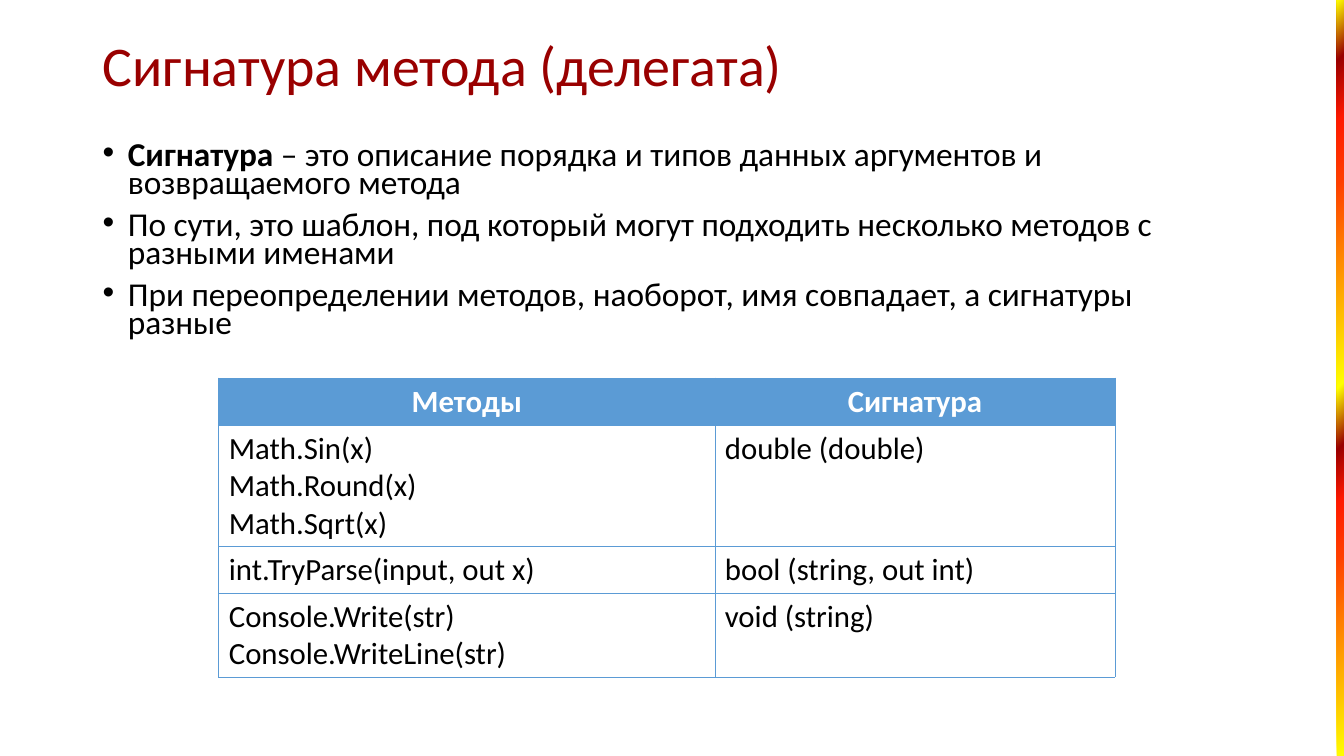
"""Builds a slide on method signatures with bullets and a table."""
from lxml import etree
from pptx import Presentation
from pptx.dml.color import RGBColor
from pptx.enum.shapes import MSO_SHAPE
from pptx.enum.text import MSO_ANCHOR, PP_ALIGN
from pptx.oxml.ns import qn
from pptx.util import Inches, Pt

RECT = MSO_SHAPE.RECTANGLE
TOP, MIDDLE = MSO_ANCHOR.TOP, MSO_ANCHOR.MIDDLE
LEFT, CENTER = PP_ALIGN.LEFT, PP_ALIGN.CENTER

BLACK = RGBColor(0, 0, 0)
WHITE = RGBColor(255, 255, 255)
MAROON = RGBColor(0x99, 0, 0)
BLUE = RGBColor(0x5B, 0x9B, 0xD5)
YELLOW = RGBColor(255, 255, 0)
ORANGE = RGBColor(255, 0x3D, 0)
RED = RGBColor(255, 0x19, 0)

FONT = "Calibri"
TITLE = "Сигнатура метода (делегата)"
POINTS = [
    [("Сигнатура", True),
     (" – это описание порядка и типов данных аргументов и возвращаемого метода", False)],
    "По сути, это шаблон, под который могут подходить несколько методов с разными именами",
    "При переопределении методов, наоборот, имя совпадает, а сигнатуры разные",
]
ROWS = [
    (["Методы"], ["Сигнатура"]),
    (["Math.Sin(x)", "Math.Round(x)", "Math.Sqrt(x)"], ["double (double)"]),
    (["int.TryParse(input, out x)"], ["bool (string, out int)"]),
    (["Console.Write(str)", "Console.WriteLine(str)"], ["void (string)"]),
]
WIDTHS = [4.92, 3.97]
HEIGHTS = [0.46, 1.19, 0.46, 0.82]
STOPS = [(0, YELLOW), (27, ORANGE), (34, RED), (41, MAROON), (49, YELLOW),
         (76, ORANGE), (84, RED), (92, MAROON), (100, YELLOW)]


def write(frame, paras, size=22, color=BLACK, bold=False, align=LEFT,
          line=1.0, before=0, bullet=False):
    """Fill a text frame; a paragraph is a string or a list of (text, bold)."""
    frame.word_wrap = True
    for i, parts in enumerate(paras):
        para = frame.add_paragraph() if i else frame.paragraphs[0]
        para.alignment, para.line_spacing = align, line
        para.space_before = Pt(before)
        if bullet:
            props = para._p.get_or_add_pPr()
            props.set("marL", str(Inches(0.25)))
            props.set("indent", str(-Inches(0.25)))
            etree.SubElement(props, qn("a:buFont"), typeface="Arial")
            etree.SubElement(props, qn("a:buChar"), char="•")
        for text, heavy in [(parts, bold)] if isinstance(parts, str) else parts:
            run = para.add_run()
            run.text = text
            font = run.font
            font.name, font.size, font.bold = FONT, Pt(size), heavy
            font.color.rgb = color


def add_text(slide, box, paras, anchor=TOP, **style):
    """Add a text box at the given place."""
    frame = slide.shapes.add_textbox(*map(Inches, box)).text_frame
    frame.vertical_anchor = anchor
    write(frame, paras, **style)


def add_color(parent, color):
    """Append an RGB colour element."""
    etree.SubElement(parent, qn("a:srgbClr"), val=str(color))


def add_bar(slide):
    """Draw the striped bar on the right edge."""
    bar = slide.shapes.add_shape(RECT, *map(Inches, (13.26, 0, 0.07, 7.5)))
    bar.shadow.inherit = False
    bar.line.fill.background()
    bar.fill.gradient()
    bar.fill.gradient_angle = 135
    stops = bar._element.spPr.find(qn("a:gradFill")).find(qn("a:gsLst"))
    for old in list(stops):
        stops.remove(old)
    for place, color in STOPS:
        add_color(etree.SubElement(stops, qn("a:gs"), pos=str(place * 1000)), color)


def add_edges(cell):
    """Put a thin line on every side of a cell."""
    props = cell._tc.get_or_add_tcPr()
    for i, side in enumerate(("lnL", "lnR", "lnT", "lnB")):
        edge = etree.Element(qn("a:" + side), w=str(Pt(0.5)))
        add_color(etree.SubElement(edge, qn("a:solidFill")), BLUE)
        props.insert(i, edge)


def add_grid(slide):
    """Add the table of methods and signatures."""
    size = (sum(WIDTHS), sum(HEIGHTS))
    grid = slide.shapes.add_table(
        len(ROWS), len(WIDTHS), *map(Inches, (2.17, 3.75, *size))).table
    grid.first_row = grid.horz_banding = False
    for col, width in zip(grid.columns, WIDTHS):
        col.width = Inches(width)
    for r, texts in enumerate(ROWS):
        grid.rows[r].height = Inches(HEIGHTS[r])
        head = r == 0
        for c, lines in enumerate(texts):
            cell = grid.cell(r, c)
            cell.fill.solid()
            cell.fill.fore_color.rgb = BLUE if head else WHITE
            add_edges(cell)
            write(cell.text_frame, lines, bold=head,
                  color=WHITE if head else BLACK, align=CENTER if head else LEFT)


deck = Presentation()
deck.slide_width, deck.slide_height = Inches(13.33), Inches(7.5)
slide = deck.slides.add_slide(deck.slide_layouts[6])
add_bar(slide)
add_text(slide, (0.92, 0.15, 11.5, 1.06), [TITLE], anchor=MIDDLE,
         size=40, color=MAROON, line=0.9)
add_text(slide, (0.92, 1.38, 11.5, 2.21), POINTS, size=23.8,
         line=0.7, before=10, bullet=True)
add_grid(slide)
deck.save("out.pptx")
